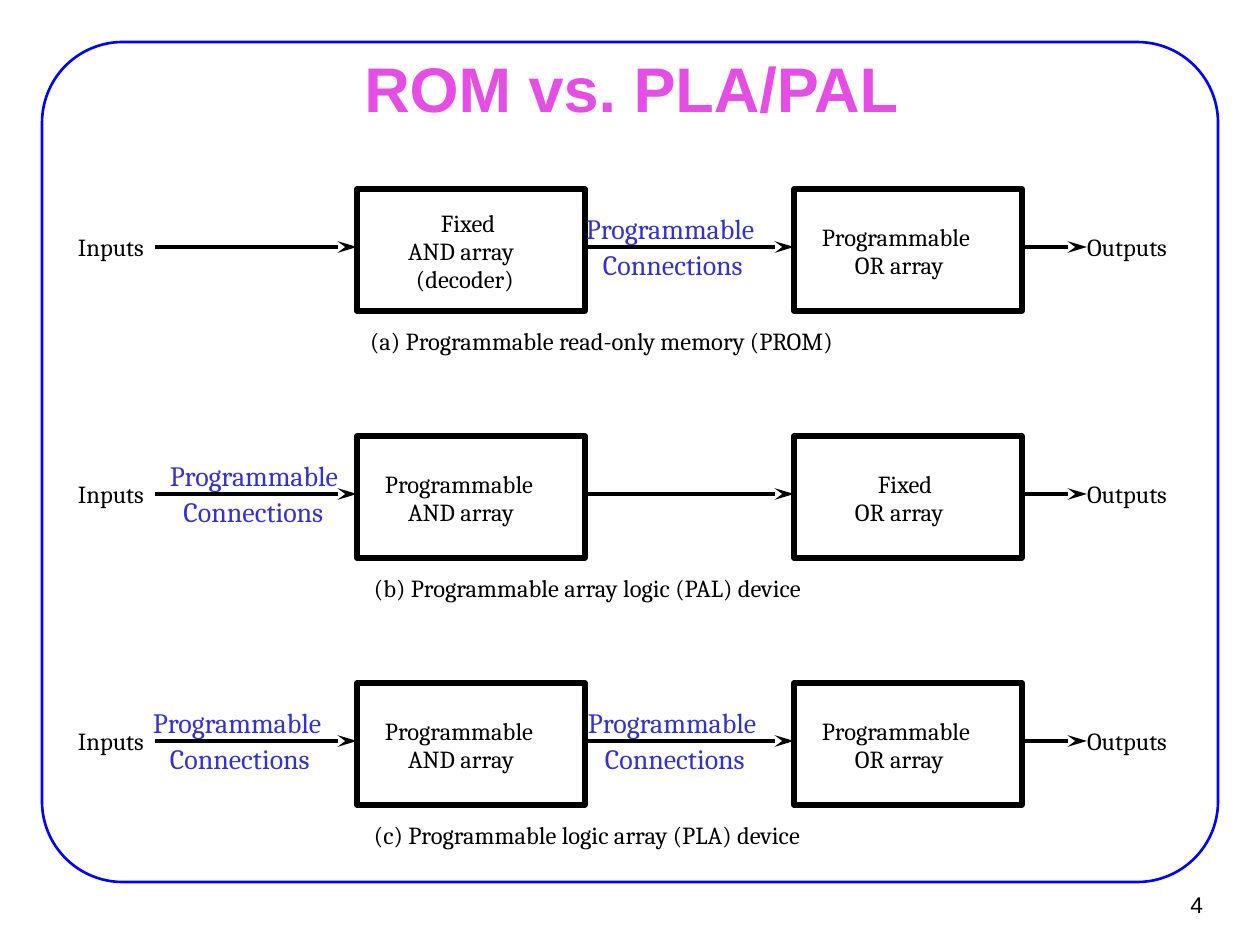
import pptx
import pptx.util
import pptx.dml.color
import pptx.enum.shapes
import pptx.enum.text
import pptx.oxml

ALIGN = pptx.enum.text.PP_ALIGN
ANCHOR = pptx.enum.text.MSO_ANCHOR
SHAPE = pptx.enum.shapes.MSO_SHAPE
COLORS = {"frame": "0000FF", "title": "E44EE4", "ink": "000000", "link": "3333CC"}
SCALE = pptx.util.Inches(1) / 126


def emu(pixels):
    """Turn pixels into EMU."""
    return pptx.util.Emu(round(pixels * SCALE))


def color(name):
    """Return a named colour."""
    return pptx.dml.color.RGBColor.from_string(COLORS[name])


class Diagram:
    """Hold the style and the current slide."""

    body_font = "Cambria"
    head_font = "Arial"

    def __init__(self, presentation):
        """Add a title-only slide."""
        self.slide = presentation.slides.add_slide(presentation.slide_layouts[5])
        self.shapes = self.slide.shapes

    def set_text(self, shape, text, size, ink, font, align, bold=False, margins=(0, 0), anchor=ANCHOR.TOP):
        """Fill a shape with one formatted run."""
        frame = shape.text_frame
        frame.margin_left = frame.margin_right = emu(margins[0])
        frame.margin_top = frame.margin_bottom = emu(margins[1])
        frame.vertical_anchor = anchor
        paragraph = frame.paragraphs[0]
        paragraph.alignment = align
        run = paragraph.add_run()
        run.text = text
        run.font.size = pptx.util.Pt(size)
        run.font.name = font
        run.font.bold = bold
        run.font.color.rgb = color(ink)

    def title(self, text, left, top, width, height):
        """Move and format the title placeholder."""
        shape = self.shapes.title
        shape.left, shape.top, shape.width, shape.height = map(emu, (left, top, width, height))
        self.set_text(shape, text, 36, "title", self.head_font, ALIGN.CENTER, True, (14, 8), ANCHOR.MIDDLE)
        shape.text_frame.auto_size = pptx.enum.text.MSO_AUTO_SIZE.NONE

    def label(self, text, left, top, width, size=14, ink="ink", align=ALIGN.LEFT):
        """Add a one-line label."""
        height = 29 if size == 14 else 34
        shape = self.shapes.add_textbox(*map(emu, (left, top, width, height)))
        self.set_text(shape, text, size, ink, self.body_font, align)
        shape.text_frame.word_wrap = False
        shape.text_frame.auto_size = pptx.enum.text.MSO_AUTO_SIZE.SHAPE_TO_FIT_TEXT

    def page_number(self, text, left, top, width, height):
        """Add the page number."""
        shape = self.shapes.add_textbox(*map(emu, (left, top, width, height)))
        self.set_text(shape, text, 13, "ink", self.head_font, ALIGN.RIGHT, False, (11, 5), ANCHOR.MIDDLE)

    def outline(self, kind, left, top, width, height, ink, weight):
        """Add an unfilled shape."""
        shape = self.shapes.add_shape(kind, *map(emu, (left, top, width, height)))
        shape.shadow.inherit = False
        shape.fill.background()
        shape.line.color.rgb = color(ink)
        shape.line.width = pptx.util.Pt(weight)
        return shape

    def arrow(self, start, end, level):
        """Add a horizontal arrow."""
        straight = pptx.enum.shapes.MSO_CONNECTOR.STRAIGHT
        connector = self.shapes.add_connector(straight, *map(emu, (start, level, end, level)))
        connector.line.color.rgb = color("ink")
        connector.line.width = pptx.util.Pt(2.24)
        properties = connector.element.spPr
        namespace = 'xmlns:a="http://schemas.openxmlformats.org/drawingml/2006/main"'
        head = pptx.oxml.parse_xml(f'<a:tailEnd {namespace} type="stealth" w="med" len="lg"/>')
        properties.get_or_add_ln().append(head)
        properties.append(pptx.oxml.parse_xml(f"<a:effectLst {namespace}/>"))

    def array_box(self, left, top, lines):
        """Add a logic array box with its centred lines."""
        self.outline(SHAPE.RECTANGLE, left, top, BOX_WIDTH, BOX_HEIGHT, "ink", 3)
        first = top + 61 - 14 * len(lines)
        for index, text in enumerate(lines):
            offset, width = WORDS[text]
            self.label(text, left + offset, first + index * 28, width)

    def connections(self, left, top, align):
        """Add the programmable connections note around an arrow."""
        self.label("Programmable", left, top + 23, 198, 16, "link", align)
        self.label("Connections", left + 17, top + 59, 163, 16, "link", align)


BOX_WIDTH, BOX_HEIGHT = 228, 122
AND_LEFT, OR_LEFT = 357, 794
FIRST_TOP, ROW_PITCH = 189, 247
WORDS = {
    "Fixed": (84, 62),
    "Programmable": (28, 174),
    "AND array": (51, 120),
    "OR array": (61, 101),
    "(decoder)": (59, 110),
}
ROWS = [
    ("(a) Programmable read-only memory (PROM)", 370, 522,
     ["Fixed", "AND array", "(decoder)"], ["Programmable", "OR array"], [(586, ALIGN.LEFT)]),
    ("(b) Programmable array logic (PAL) device", 374, 483,
     ["Programmable", "AND array"], ["Fixed", "OR array"], [(155, ALIGN.CENTER)]),
    ("(c) Programmable logic array (PLA) device", 374, 479,
     ["Programmable", "AND array"], ["Programmable", "OR array"],
     [(153, ALIGN.LEFT), (588, ALIGN.LEFT)]),
]
ARROWS = [(155, AND_LEFT), (AND_LEFT + BOX_WIDTH, OR_LEFT), (OR_LEFT + BOX_WIDTH, 1087)]

presentation = pptx.Presentation()
presentation.slide_width, presentation.slide_height = emu(1260), emu(945)
diagram = Diagram(presentation)
frame = diagram.outline(SHAPE.ROUNDED_RECTANGLE, 42, 42, 1176, 840, "frame", 1.5)
frame.adjustments[0] = 0.096
diagram.title("ROM vs. PLA/PAL", 96, 56, 1071, 62)
diagram.page_number("4", 1137, 881, 77, 47)

for row, (caption, caption_left, caption_width, and_lines, or_lines, notes) in enumerate(ROWS):
    top = FIRST_TOP + row * ROW_PITCH
    diagram.array_box(AND_LEFT, top, and_lines)
    diagram.array_box(OR_LEFT, top, or_lines)
    for start, end in ARROWS:
        diagram.arrow(start, end, top + 58)
    diagram.label("Inputs", 78, top + 43, 74)
    diagram.label("Outputs", 1087, top + 43, 95)
    for left, align in notes:
        diagram.connections(left, top, align)
    diagram.label(caption, caption_left, top + 137, caption_width)

presentation.save("out.pptx")
